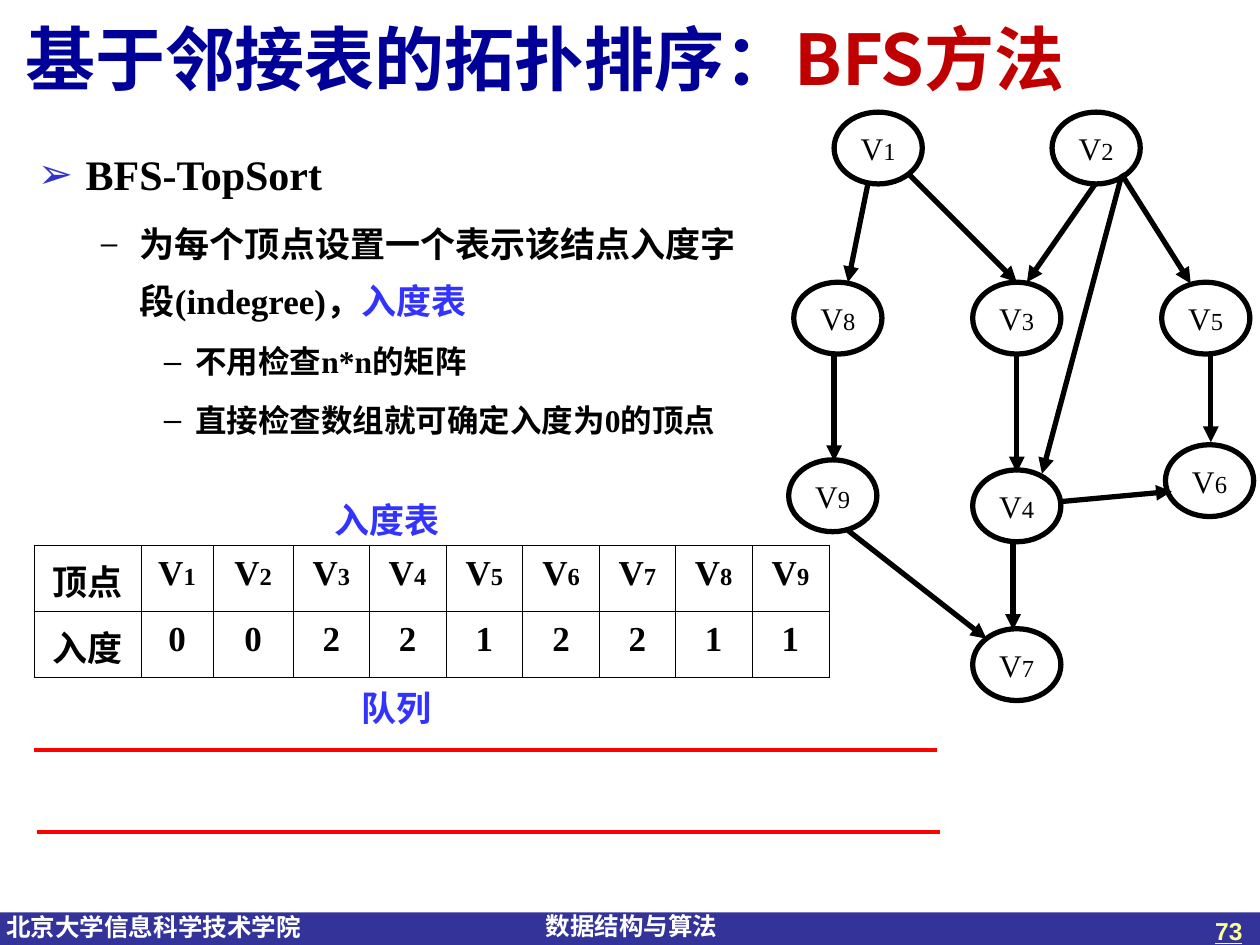
import dataclasses
import typing

import lxml.etree
import pptx
import pptx.dml.color
import pptx.enum.shapes
import pptx.enum.text
import pptx.oxml.ns
import pptx.util

Inches = pptx.util.Inches
Pt = pptx.util.Pt
ALIGN = pptx.enum.text.PP_ALIGN
ANCHOR = pptx.enum.text.MSO_ANCHOR

COLORS = {
    "navy": "000099", "crimson": "C00000", "blue": "3333FF", "bullet": "3333CC",
    "bar": "333399", "red": "FF0000", "black": "000000", "white": "FFFFFF",
    "page": "FFFF99",
}
SERIF, SANS, CHINESE = "Times New Roman", "Arial", "Noto Sans CJK SC"


@dataclasses.dataclass
class Piece:
    text: str
    size: float
    color: str = "black"
    font: str = SERIF
    bold: bool = True
    underline: bool = False


@dataclasses.dataclass
class Bullet:
    level: int
    pieces: list[Piece]
    mark: str
    mark_color: str
    indent: float
    hanging: float
    space_before: float
    mark_percent: int = 100


@dataclasses.dataclass
class Label:
    box: tuple[float, float, float, float]
    piece: Piece
    align: typing.Any = ALIGN.LEFT
    side_inset: float = 0.1


class Vertex(typing.NamedTuple):
    number: str
    left: float
    top: float


class Edge(typing.NamedTuple):
    start: tuple[float, float]
    end: tuple[float, float]


BULLETS = [
    Bullet(0, [Piece("BFS-TopSort", 24)], "➢", "bullet", 0.38, 0.38, 0),
    Bullet(1, [Piece("为每个顶点设置一个表示该结点入度字段(indegree)，", 20),
               Piece("入度表", 20, "blue")], "–", "black", 0.81, 0.31, 5, 85),
    Bullet(2, [Piece("不用检查n*n的矩阵", 18)], "–", "black", 1.25, 0.25, 4.5),
    Bullet(2, [Piece("直接检查数组就可确定入度为0的顶点", 18)],
           "–", "black", 1.25, 0.25, 4.5),
]
LABELS = [
    Label((0.05, 7.19, 2.44, 0.34),
          Piece("北京大学信息科学技术学院", 14, "white", SANS), side_inset=0),
    Label((4.33, 7.18, 1.46, 0.34),
          Piece("数据结构与算法", 14, "white", SANS), side_inset=0),
    Label((7.63, 7.22, 2.33, 0.52),
          Piece("73", 14, "page", SANS, underline=True), ALIGN.RIGHT),
    Label((1.94, 3.91, 2.27, 0.44), Piece("入度表", 20, "blue", SANS), ALIGN.CENTER),
    Label((2.01, 5.4, 2.27, 0.44), Piece("队列", 20, "blue", SANS), ALIGN.CENTER),
]
VERTICES = [
    Vertex("1", 6.62, 0.89), Vertex("2", 8.35, 0.89), Vertex("8", 6.3, 2.24),
    Vertex("3", 7.72, 2.24), Vertex("5", 9.22, 2.24), Vertex("9", 6.26, 3.65),
    Vertex("4", 7.72, 3.73), Vertex("6", 9.25, 3.53), Vertex("7", 7.72, 4.99),
]
EDGES = [
    Edge((7.2, 1.37), (8.07, 2.24)), Edge((8.7, 1.45), (8.15, 2.24)),
    Edge((8.9, 1.38), (9.45, 2.25)), Edge((9.61, 2.8), (9.61, 3.51)),
    Edge((6.89, 1.45), (6.73, 2.24)), Edge((6.62, 2.8), (6.62, 3.66)),
    Edge((8.07, 2.81), (8.07, 3.75)), Edge((8.9, 1.4), (8.27, 3.76)),
    Edge((8.43, 3.98), (9.3, 3.9)), Edge((6.73, 4.21), (7.83, 5.07)),
    Edge((8.04, 4.3), (8.04, 5)),
]
QUEUE_RAILS = [Edge((0.27, 5.95), (7.44, 5.95)), Edge((0.29, 6.6), (7.46, 6.6))]
COLUMN_WIDTHS = [0.85, 0.57, 0.64, 0.6, 0.61, 0.61, 0.61, 0.6, 0.61, 0.61]
INDEGREES = "002212211"


def rgb(name: str) -> pptx.dml.color.RGBColor:
    return pptx.dml.color.RGBColor.from_string(COLORS[name])


def add_element(parent, tag: str, **attributes: str):
    return lxml.etree.SubElement(parent, pptx.oxml.ns.qn(tag), attributes)


def write(paragraph, pieces: list[Piece]) -> None:
    for piece in pieces:
        run = paragraph.add_run()
        run.text = piece.text
        font = run.font
        font.name, font.size, font.bold = piece.font, Pt(piece.size), piece.bold
        font.underline = piece.underline
        font.color.rgb = rgb(piece.color)
        add_element(run._r.get_or_add_rPr(), "a:ea", typeface=CHINESE)


def place(shape, left: float, top: float, width: float, height: float) -> None:
    shape.left, shape.top = Inches(left), Inches(top)
    shape.width, shape.height = Inches(width), Inches(height)


def fill_title(title) -> None:
    place(title, 0, 0, 10, 0.91)
    frame = title.text_frame
    frame.vertical_anchor = ANCHOR.MIDDLE
    frame.margin_left, frame.margin_right = Inches(0.2), Inches(0.3)
    frame.auto_size = pptx.enum.text.MSO_AUTO_SIZE.NONE
    paragraph = frame.paragraphs[0]
    paragraph.alignment = ALIGN.LEFT
    write(paragraph, [Piece("基于邻接表的拓扑排序：", 40, "navy", CHINESE),
                      Piece("BFS方法", 40, "crimson", CHINESE)])


def fill_body(body) -> None:
    place(body, 0.2, 0.99, 5.83, 6.06)
    frame = body.text_frame
    frame.auto_size = pptx.enum.text.MSO_AUTO_SIZE.NONE
    for index, bullet in enumerate(BULLETS):
        paragraph = frame.add_paragraph() if index else frame.paragraphs[0]
        paragraph.level = bullet.level
        properties = paragraph._p.get_or_add_pPr()
        properties.set("marL", str(Inches(bullet.indent)))
        properties.set("indent", str(-Inches(bullet.hanging)))
        color = add_element(properties, "a:buClr")
        add_element(color, "a:srgbClr", val=COLORS[bullet.mark_color])
        add_element(properties, "a:buSzPct", val=str(bullet.mark_percent * 1000))
        add_element(properties, "a:buChar", char=bullet.mark)
        paragraph.line_spacing = 1.35
        paragraph.space_before = Pt(bullet.space_before)
        write(paragraph, bullet.pieces)


def add_label(slide, label: Label) -> None:
    frame = slide.shapes.add_textbox(*map(Inches, label.box)).text_frame
    frame.word_wrap = True
    frame.margin_left = frame.margin_right = Inches(label.side_inset)
    paragraph = frame.paragraphs[0]
    paragraph.alignment = label.align
    write(paragraph, [label.piece])


def add_footer_bar(slide) -> None:
    bar = slide.shapes.add_shape(pptx.enum.shapes.MSO_SHAPE.RECTANGLE,
                                 0, Inches(7.24), Inches(10), Inches(0.28))
    bar.shadow.inherit = False
    bar.fill.solid()
    bar.fill.fore_color.rgb = rgb("bar")
    bar.line.fill.background()


def add_vertex(slide, vertex: Vertex) -> None:
    ellipse = slide.shapes.add_shape(
        pptx.enum.shapes.MSO_SHAPE.OVAL, Inches(vertex.left), Inches(vertex.top),
        Inches(0.7), Inches(0.57))
    ellipse.shadow.inherit = False
    ellipse.fill.background()
    ellipse.line.color.rgb = rgb("black")
    ellipse.line.width = Pt(3)
    frame = ellipse.text_frame
    frame.vertical_anchor = ANCHOR.MIDDLE
    paragraph = frame.paragraphs[0]
    paragraph.alignment = ALIGN.CENTER
    write(paragraph, [Piece("V", 18, bold=False), Piece(vertex.number, 14, bold=False)])


def add_line(slide, edge: Edge, color: str, width: float, arrow: bool) -> None:
    connector = slide.shapes.add_connector(
        pptx.enum.shapes.MSO_CONNECTOR.STRAIGHT,
        *map(Inches, edge.start + edge.end))
    connector.line.color.rgb = rgb(color)
    connector.line.width = Pt(width)
    if arrow:
        add_element(connector.line._get_or_add_ln(), "a:tailEnd", type="triangle")
    add_element(connector._element.spPr, "a:effectLst")


def format_cell(cell, pieces: list[Piece]) -> None:
    paragraph = cell.text_frame.paragraphs[0]
    paragraph.alignment = ALIGN.CENTER
    paragraph.line_spacing = 1.05
    write(paragraph, pieces)
    properties = cell._tc.get_or_add_tcPr()
    for side in ("a:lnL", "a:lnR", "a:lnT", "a:lnB"):
        border = add_element(properties, side, w=str(Pt(0.45)))
        add_element(add_element(border, "a:solidFill"), "a:srgbClr", val=COLORS["black"])
    cell.fill.background()


def add_indegree_table(slide) -> None:
    table = slide.shapes.add_table(2, len(COLUMN_WIDTHS), Inches(0.27), Inches(4.33),
                                   Inches(sum(COLUMN_WIDTHS)), Inches(0.9)).table
    table.first_row = table.horz_banding = False
    for column, width in zip(table.columns, COLUMN_WIDTHS):
        column.width = Inches(width)
    for row, heading in enumerate(("顶点", "入度")):
        format_cell(table.cell(row, 0), [Piece(heading, 20)])
    for number, indegree in enumerate(INDEGREES, start=1):
        format_cell(table.cell(0, number), [Piece("V", 20), Piece(str(number), 14)])
        format_cell(table.cell(1, number), [Piece(indegree, 20)])


def main() -> None:
    presentation = pptx.Presentation()
    presentation.slide_width, presentation.slide_height = Inches(10), Inches(7.5)
    slide = presentation.slides.add_slide(presentation.slide_layouts[1])
    fill_title(slide.shapes.title)
    fill_body(slide.placeholders[1])
    add_footer_bar(slide)
    add_indegree_table(slide)
    for label in LABELS:
        add_label(slide, label)
    for vertex in VERTICES:
        add_vertex(slide, vertex)
    for edge in EDGES:
        add_line(slide, edge, "black", 3, arrow=True)
    for rail in QUEUE_RAILS:
        add_line(slide, rail, "red", 2.25, arrow=False)
    presentation.save("out.pptx")


if __name__ == "__main__":
    main()
